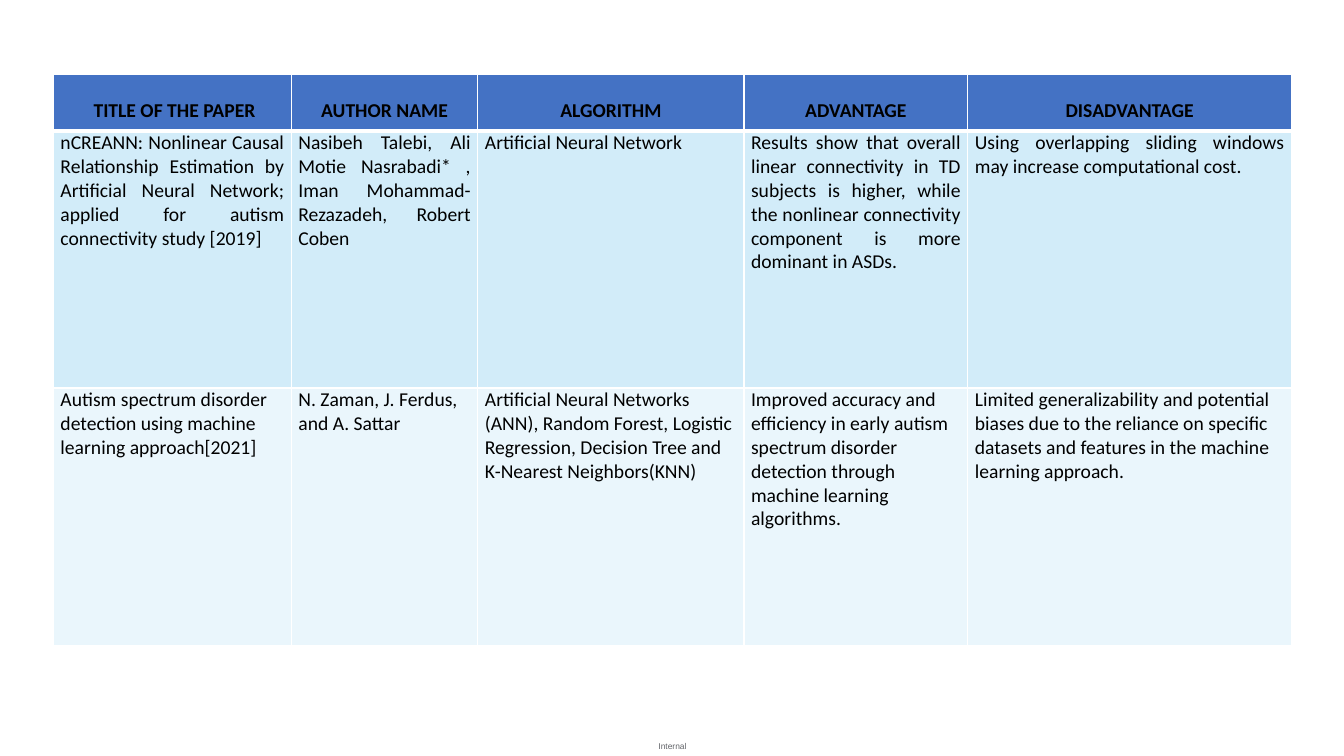
from lxml import etree
from pptx import Presentation
from pptx.dml.color import RGBColor
from pptx.enum.text import MSO_ANCHOR, PP_ALIGN
from pptx.oxml.ns import qn
from pptx.util import Inches, Pt

CENTER = PP_ALIGN.CENTER
JUSTIFY = PP_ALIGN.JUSTIFY
LEFT = PP_ALIGN.LEFT
MIDDLE = MSO_ANCHOR.MIDDLE

COLUMN_WIDTHS = [2.36, 1.85, 2.64, 2.22, 3.21]
ROW_HEIGHTS = [0.56, 2.55, 2.55]
THIN, THICK = 1, 3

HEADINGS = [
    " TITLE OF THE PAPER",
    "AUTHOR NAME",
    "ALGORITHM",
    "ADVANTAGE",
    "DISADVANTAGE",
]
CONNECTIVITY_STUDY = [
    "nCREANN: Nonlinear Causal Relationship Estimation by Artificial Neural "
    "Network; applied for autism connectivity study [2019] ",
    "Nasibeh Talebi, Ali Motie Nasrabadi* , Iman Mohammad-Rezazadeh, Robert Coben ",
    "Artificial Neural Network",
    "Results show that overall linear connectivity in TD subjects is higher, "
    "while the nonlinear connectivity component is more dominant in ASDs.",
    "Using overlapping sliding windows may increase computational cost. ",
]
DETECTION_STUDY = [
    "Autism spectrum disorder detection using machine learning approach[2021]",
    "N. Zaman, J. Ferdus, and A. Sattar",
    "Artificial Neural Networks (ANN), Random Forest, Logistic Regression, "
    "Decision Tree and K-Nearest Neighbors(KNN)",
    "Improved accuracy and efficiency in early autism spectrum disorder "
    "detection through machine learning algorithms.",
    "Limited generalizability and potential biases due to the reliance on "
    "specific datasets and features in the machine learning approach.",
]
TABLE_ROWS = [
    (HEADINGS, "4472C4", CENTER, True, 2, THIN, THICK),
    (CONNECTIVITY_STUDY, "D2ECF9", JUSTIFY, False, 1, THICK, THIN),
    (DETECTION_STUDY, "EAF6FC", LEFT, False, 1, THIN, THIN),
]


def color(value):
    return RGBColor.from_string(value)


def write_text(frame, text, font, size, ink, align, bold=False):
    frame.text = text
    para = frame.paragraphs[0]
    para.alignment = align
    span = para.runs[0]
    span.font.name = font
    span.font.size = Pt(size)
    span.font.bold = bold
    span.font.color.rgb = color(ink)
    return para


def set_borders(cell, top, bottom):
    properties = cell._tc.get_or_add_tcPr()
    widths = {"a:lnL": THIN, "a:lnR": THIN, "a:lnT": top, "a:lnB": bottom}
    for tag, width in widths.items():
        line = etree.SubElement(properties, qn(tag), w=str(Pt(width)))
        fill = etree.SubElement(line, qn("a:solidFill"))
        etree.SubElement(fill, qn("a:srgbClr"), val="FFFFFF")


def fill_row(row, texts, background, align, bold, spacing, top, bottom):
    for cell, text in zip(row.cells, texts):
        set_borders(cell, top, bottom)
        cell.fill.solid()
        cell.fill.fore_color.rgb = color(background)
        cell.margin_left = cell.margin_right = Inches(0.07)
        cell.margin_top = cell.margin_bottom = 0
        para = write_text(cell.text_frame, text, "Calibri", 14, "000000", align, bold)
        para.line_spacing = float(spacing)


def add_survey_table(page):
    frame = page.shapes.add_table(
        len(ROW_HEIGHTS), len(COLUMN_WIDTHS),
        Inches(0.53), Inches(0.74),
        Inches(sum(COLUMN_WIDTHS)), Inches(sum(ROW_HEIGHTS)),
    )
    table = frame.table
    for column, width in zip(table.columns, COLUMN_WIDTHS):
        column.width = Inches(width)
    for row, height, content in zip(table.rows, ROW_HEIGHTS, TABLE_ROWS):
        row.height = Inches(height)
        fill_row(row, *content)


def add_classification(page):
    box = page.shapes.add_textbox(Inches(6.42), Inches(7.3), Inches(0.5), Inches(0.2))
    frame = box.text_frame
    frame.word_wrap = True
    frame.vertical_anchor = MIDDLE
    frame.margin_left = frame.margin_right = 0
    frame.margin_top = frame.margin_bottom = 0
    write_text(frame, "Internal", "Arial", 6, "626469", CENTER)


def main():
    deck = Presentation()
    deck.slide_width = Inches(13.33)
    deck.slide_height = Inches(7.5)
    page = deck.slides.add_slide(deck.slide_layouts[6])
    add_classification(page)
    add_survey_table(page)
    deck.save("out.pptx")


if __name__ == "__main__":
    main()
